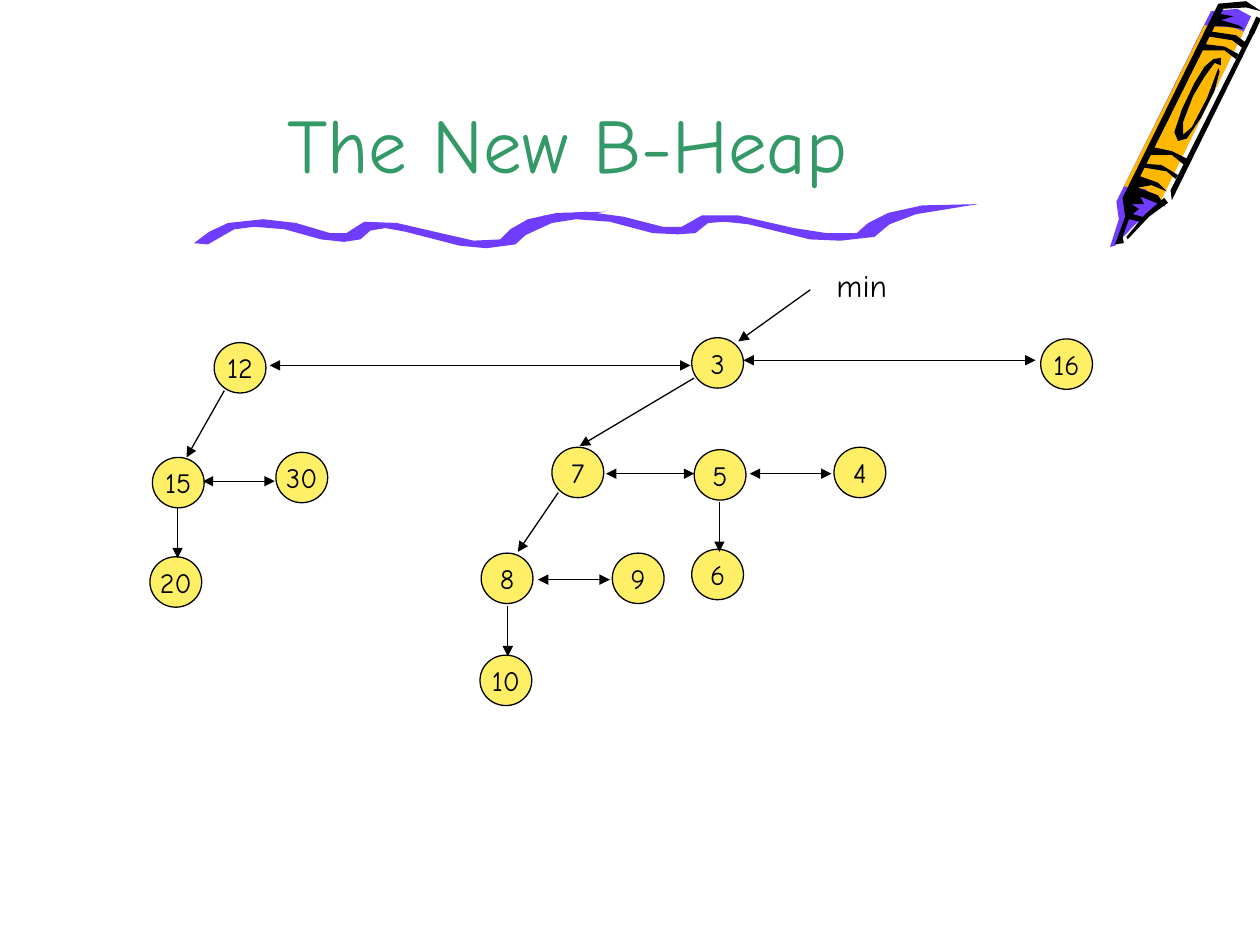
from lxml import etree
from pptx import Presentation
from pptx.dml.color import RGBColor
from pptx.enum.shapes import MSO_CONNECTOR, MSO_SHAPE
from pptx.enum.text import MSO_ANCHOR, PP_ALIGN
from pptx.oxml.ns import qn
from pptx.util import Pt

STRAIGHT = MSO_CONNECTOR.STRAIGHT
OVAL = MSO_SHAPE.OVAL
LEFT, CENTER = PP_ALIGN.LEFT, PP_ALIGN.CENTER
TOP, MIDDLE, BOTTOM = MSO_ANCHOR.TOP, MSO_ANCHOR.MIDDLE, MSO_ANCHOR.BOTTOM

FONT = "Comic Neue"
BLACK, YELLOW, GREEN = "000000", "FFEF66", "339966"
PURPLE, ORANGE = "703DFF", "FFB800"
NODE_WIDTH, NODE_HEIGHT = 29.6, 28.8
OUTLINE_UNIT = 0.72  # outlines are plotted on a grid of 0.72 pt

# Left and top of each heap node
NODES = {
    "12": (122.4, 195.8), "3": (395.3, 193), "16": (594.7, 193.7),
    "15": (87.1, 261.4), "30": (157.7, 258.5), "20": (85.7, 318.2),
    "7": (315.4, 255.6), "5": (396.7, 257), "4": (476.6, 255.6),
    "8": (275, 316.1), "9": (349.9, 316.1), "6": (395.3, 313.9),
    "10": (274.3, 374.4),
}

# Start and end of each arrow
CHILD_ARROWS = [
    ((128.2, 223.2), (106.6, 261.4)),  # 12 to 15
    ((101.5, 290.2), (101.5, 319)),    # 15 to 20
    ((396.7, 216), (331.2, 254.9)),    # 3 to 7
    ((319, 281.5), (295.9, 315.4)),    # 7 to 8
    ((290.2, 346.3), (290.2, 375.1)),  # 8 to 10
    ((411.1, 286.6), (411.1, 315.4)),  # 5 to 6
]
MIN_ARROW = ((463, 165.6), (421.9, 195.1))

# Left, right and height of each two-way sibling arrow
SIBLING_ARROWS = [
    (154.1, 394.6, 208.8), (424.8, 591.8, 205.9), (115.9, 157, 275),
    (346.3, 396.7, 270.7), (428.4, 475.2, 270.7), (307.4, 348.5, 331.2),
]

CRAYON = [
    (PURPLE, [(993, 13), (917, 166), (901, 178), (885, 195), (881, 196),
              (888, 174), (886, 160), (961, 9), (982, 7)]),
    (ORANGE, [(921, 160), (909, 150), (892, 148), (956, 20), (979, 22),
              (987, 25)]),
    (BLACK, [(927, 161), (912, 172), (895, 190), (894, 188), (909, 170),
             (924, 157)]),
    (BLACK, [(987, 23), (973, 21), (961, 21), (968, 11), (979, 13),
             (969, 16), (983, 20)]),
    (BLACK, [(968, 57), (964, 72), (953, 94), (942, 110), (935, 112),
             (932, 105), (938, 87), (948, 66), (956, 53), (963, 47),
             (969, 46), (969, 52), (964, 50), (956, 61), (947, 76),
             (939, 97), (939, 107), (946, 101), (958, 78), (967, 54)]),
    (BLACK, [(997, 23), (930, 159), (929, 151), (993, 23)]),
    (BLACK, [(925, 164), (919, 155), (903, 149), (914, 147), (926, 152),
             (919, 145), (905, 140), (971, 7), (989, 6), (1001, 9),
             (989, 1), (967, 3), (891, 157), (893, 172), (885, 194),
             (892, 193), (891, 188), (896, 174), (905, 176), (910, 173),
             (899, 170), (904, 166), (898, 162), (908, 162), (905, 156)]),
    (BLACK, [(933, 142), (926, 136), (908, 133), (909, 130), (922, 131),
             (935, 139)]),
    (BLACK, [(940, 131), (930, 123), (913, 123), (916, 117), (930, 120),
             (942, 126)]),
    (BLACK, [(981, 47), (972, 40), (953, 40), (956, 35), (972, 37),
             (983, 43)]),
    (BLACK, [(986, 38), (978, 32), (959, 29), (961, 25), (981, 28),
             (989, 34)]),
]
CRAYON_EDGE = ((719.3, 10.1), (715, 19.4))

SQUIGGLE = [
    (PURPLE, [(165, 194), (186, 182), (202, 180), (226, 182), (255, 190),
              (273, 192), (286, 190), (294, 183), (306, 181), (322, 184),
              (365, 195), (386, 197), (409, 194), (420, 184), (438, 175),
              (481, 168), (442, 169), (419, 174), (405, 182), (397, 190),
              (376, 191), (354, 186), (315, 177), (289, 176), (275, 185),
              (262, 185), (235, 177), (209, 174), (181, 177), (166, 184),
              (154, 193)]),
    (PURPLE, [(414, 188), (438, 177), (457, 174), (484, 176), (518, 185),
              (538, 186), (552, 185), (562, 177), (575, 176), (594, 178),
              (643, 190), (667, 191), (694, 188), (706, 178), (727, 170),
              (776, 162), (732, 163), (705, 169), (689, 177), (680, 185),
              (656, 185), (630, 181), (586, 171), (557, 171), (541, 180),
              (526, 180), (495, 172), (465, 168), (432, 171), (415, 178),
              (401, 188)]),
]


def rgb(color):
    return RGBColor.from_string(color)


def set_text(shape, text, size=16, color=BLACK, align=CENTER, anchor=MIDDLE,
             wrap=False):
    frame = shape.text_frame
    frame.word_wrap = wrap
    frame.vertical_anchor = anchor
    paragraph = frame.paragraphs[0]
    paragraph.alignment = align
    run = paragraph.add_run()
    run.text = text
    run.font.name = FONT
    run.font.size = Pt(size)
    run.font.color.rgb = rgb(color)


def add_title(slide, text):
    title = slide.shapes.title
    title.left, title.top = Pt(54), Pt(0)
    title.width, title.height = Pt(540.7), Pt(111.6)
    set_text(title, text, size=44, color=GREEN, anchor=BOTTOM, wrap=True)


def add_outline(slide, color, points):
    builder = slide.shapes.build_freeform(*points[0], scale=Pt(OUTLINE_UNIT))
    builder.add_line_segments(points[1:], close=True)
    shape = builder.convert_to_shape()
    shape.shadow.inherit = False
    shape.fill.solid()
    shape.fill.fore_color.rgb = rgb(color)
    shape.line.fill.background()


def add_line(slide, start, end, width=0.75, arrowheads=()):
    """Draw a black line; arrowheads may name headEnd (start), then tailEnd."""
    ends = [Pt(value) for value in (*start, *end)]
    connector = slide.shapes.add_connector(STRAIGHT, *ends)
    connector.line.color.rgb = rgb(BLACK)
    connector.line.width = Pt(width)
    properties = connector._element.spPr
    line = properties.find(qn("a:ln"))
    for name in arrowheads:
        etree.SubElement(line, qn(f"a:{name}"), type="triangle")
    etree.SubElement(properties, qn("a:effectLst"))


def add_node(slide, label, left, top):
    node = slide.shapes.add_shape(OVAL, Pt(left), Pt(top), Pt(NODE_WIDTH),
                                  Pt(NODE_HEIGHT))
    node.shadow.inherit = False
    node.fill.solid()
    node.fill.fore_color.rgb = rgb(YELLOW)
    node.line.color.rgb = rgb(BLACK)
    node.line.width = Pt(0.75)
    set_text(node, label)


def main():
    presentation = Presentation()
    presentation.slide_width, presentation.slide_height = Pt(720), Pt(540)
    slide = presentation.slides.add_slide(presentation.slide_layouts[5])

    for color, points in CRAYON + SQUIGGLE:
        add_outline(slide, color, points)
    add_line(slide, *CRAYON_EDGE, width=3)

    add_title(slide, "The New B-Heap")
    for label, (left, top) in NODES.items():
        add_node(slide, label, left, top)
    for start, end in CHILD_ARROWS + [MIN_ARROW]:
        add_line(slide, start, end, arrowheads=["tailEnd"])
    for left, right, height in SIBLING_ARROWS:
        add_line(slide, (left, height), (right, height),
                 arrowheads=["headEnd", "tailEnd"])

    min_label = slide.shapes.add_textbox(Pt(470.9), Pt(148.3), Pt(49), Pt(28.8))
    set_text(min_label, "min", size=18, align=LEFT, anchor=TOP, wrap=True)

    presentation.save("out.pptx")


if __name__ == "__main__":
    main()
